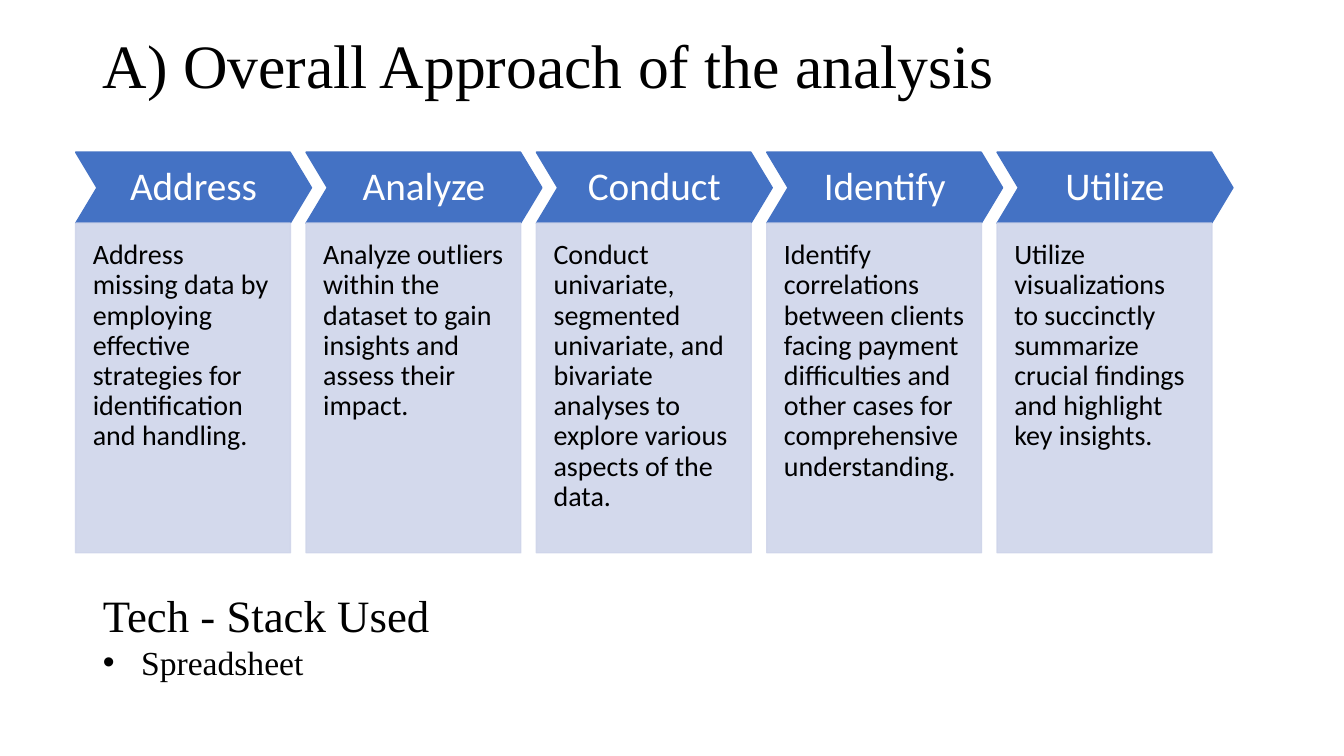
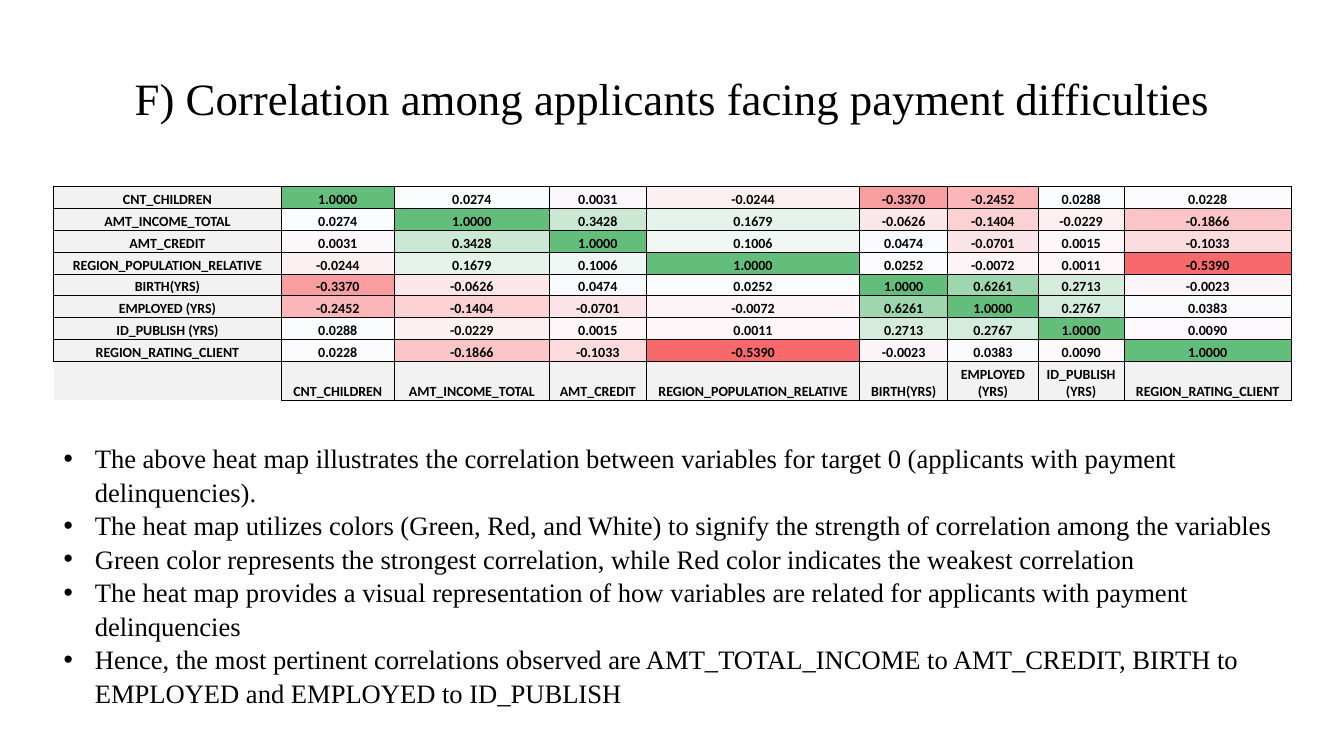
"""Build two slides: an approach overview and a correlation heat map."""
import pptx
import pptx.util
import pptx.dml.color
import pptx.enum.shapes
import pptx.enum.text
import pptx.oxml
import pptx.oxml.ns

WIDTH, HEIGHT = 13.33, 7.5
SERIF, SANS = "Times New Roman", "Calibri"
BLACK, WHITE, BLUE, PALE, GREY = "000000", "FFFFFF", "4472C4", "CFD5EA", "F2F2F2"
RED, NEUTRAL, GREEN = "F8696B", "FCFCFF", "63BE7B"
LEFT, CENTER = pptx.enum.text.PP_ALIGN.LEFT, pptx.enum.text.PP_ALIGN.CENTER
TOP, MIDDLE, BOTTOM = (pptx.enum.text.MSO_ANCHOR.TOP, pptx.enum.text.MSO_ANCHOR.MIDDLE,
                       pptx.enum.text.MSO_ANCHOR.BOTTOM)
CHEVRON = pptx.enum.shapes.MSO_SHAPE.CHEVRON
RECTANGLE = pptx.enum.shapes.MSO_SHAPE.RECTANGLE

STEPS = [
    ("Address", "Address missing data by employing effective strategies for "
                "identification and handling."),
    ("Analyze", "Analyze outliers within the dataset to gain insights and assess their impact."),
    ("Conduct", "Conduct univariate, segmented univariate, and bivariate analyses to "
                "explore various aspects of the data."),
    ("Identify", "Identify correlations between clients facing payment difficulties and "
                 "other cases for comprehensive understanding."),
    ("Utilize", "Utilize visualizations to succinctly summarize crucial findings and "
                "highlight key insights."),
]
VARIABLES = ["CNT_CHILDREN", "AMT_INCOME_TOTAL", "AMT_CREDIT", "REGION_POPULATION_RELATIVE",
             "BIRTH(YRS)", "EMPLOYED (YRS)", "ID_PUBLISH (YRS)", "REGION_RATING_CLIENT"]
LOWER_TRIANGLE = [
    [1],
    [0.0274, 1],
    [0.0031, 0.3428, 1],
    [-0.0244, 0.1679, 0.1006, 1],
    [-0.3370, -0.0626, 0.0474, 0.0252, 1],
    [-0.2452, -0.1404, -0.0701, -0.0072, 0.6261, 1],
    [0.0288, -0.0229, 0.0015, 0.0011, 0.2713, 0.2767, 1],
    [0.0228, -0.1866, -0.1033, -0.5390, -0.0023, 0.0383, 0.0090, 1],
]
LOW, MEDIAN, HIGH = -0.5390, 0.0228, 1
COLUMN_SHARES = [16.95, 8.4, 11.55, 7.2, 15.9, 6.53, 6.75, 6.38, 12.45]
ROW_SHARES = [2.89] * len(VARIABLES) + [5.16]
FINDINGS = [
    "The above heat map illustrates the correlation between variables for target 0 "
    "(applicants with payment delinquencies).",
    "The heat map utilizes colors (Green, Red, and White) to signify the strength of "
    "correlation among the variables",
    "Green color represents the strongest correlation, while Red color indicates the "
    "weakest correlation",
    "The heat map provides a visual representation of how variables are related for "
    "applicants with payment delinquencies",
    "Hence, the most pertinent correlations observed are AMT_TOTAL_INCOME to AMT_CREDIT, "
    "BIRTH to EMPLOYED and EMPLOYED to ID_PUBLISH",
]


def rgb(value):
    """Turn a hex string into a colour."""
    return pptx.dml.color.RGBColor.from_string(value)


def across(share):
    """Return a percentage of the slide's width."""
    return pptx.util.Inches(WIDTH * share / 100)


def down(share):
    """Return a percentage of the slide's height."""
    return pptx.util.Inches(HEIGHT * share / 100)


def box(x, y, w, h):
    """Return left, top, width and height from shares of the slide."""
    return across(x), down(y), across(w), down(h)


def element(tag, **attributes):
    """Make a DrawingML element."""
    el = pptx.oxml.parse_xml(f"<a:{tag} {pptx.oxml.ns.nsdecls('a')}/>")
    for name, value in attributes.items():
        el.set(name, str(value))
    return el


def write(tf, text, size=20, font=SANS, color=BLACK, bold=False, align=LEFT,
          spacing=1.0, indent=None, bullet=None):
    """Add a formatted paragraph, using the first one while it is empty."""
    p = tf.paragraphs[0] if not tf.text else tf.add_paragraph()
    p.alignment, p.line_spacing = align, spacing
    p.space_before = p.space_after = pptx.util.Pt(0)
    if indent is not None:
        pPr = p._p.get_or_add_pPr()
        hang = pptx.util.Inches(indent)
        pPr.set("marL", str(hang))
        pPr.set("indent", str(-hang))
        pPr.append(element("buChar", char=bullet) if bullet else element("buNone"))
    r = p.add_run()
    r.text = text
    r.font.size, r.font.name, r.font.bold = pptx.util.Pt(size), font, bold
    r.font.color.rgb = rgb(color)


def set_frame(tf, anchor=TOP, margins=(0.1, 0.05, 0.1, 0.05)):
    """Set wrapping, anchor and insets of a text frame."""
    tf.word_wrap = True
    tf.auto_size = pptx.enum.text.MSO_AUTO_SIZE.NONE
    tf.vertical_anchor = anchor
    tf.margin_left, tf.margin_top, tf.margin_right, tf.margin_bottom = map(
        pptx.util.Inches, margins)


def place(sp, area, anchor):
    """Move a placeholder and return its text frame."""
    sp.left, sp.top, sp.width, sp.height = box(*area)
    set_frame(sp.text_frame, anchor)
    return sp.text_frame


def add_slide(prs, title, title_area, body_area, size, align):
    """Add a titled slide and return it with its body text frame."""
    s = prs.slides.add_slide(prs.slide_layouts[1])
    write(place(s.shapes.title, title_area, MIDDLE), title, size=size, font=SERIF,
          align=align, spacing=0.9)
    return s, place(s.placeholders[1], body_area, TOP)


def add_panel(s, kind, area, fill, text, anchor, margins, opacity=100, **style):
    """Add a filled shape with text."""
    sp = s.shapes.add_shape(kind, *box(*area))
    sp.shadow.inherit = False
    sp.fill.solid()
    sp.line.fill.solid()
    sp.line.width = pptx.util.Pt(1)
    for color in (sp.fill.fore_color, sp.line.color):
        color.rgb = rgb(fill)
    if opacity < 100:
        for el in sp._element.spPr.iter(pptx.oxml.ns.qn("a:srgbClr")):
            el.append(element("alpha", val=opacity * 1000))
    set_frame(sp.text_frame, anchor, margins)
    write(sp.text_frame, text, spacing=0.9, **style)
    return sp


def add_step(s, index, heading, detail):
    """Add one chevron and the panel below it."""
    x, y, head_height = 5.63 + 17.14 * index, 20.13, 9.4
    sp = add_panel(s, CHEVRON, (x, y, 17.55, head_height), BLUE, heading, MIDDLE,
                   (0.09,) * 4, size=28, color=WHITE, align=CENTER)
    sp.adjustments[0] = 0.3
    add_panel(s, RECTANGLE, (x, y + head_height, 15.98, 43.6), PALE, detail, TOP,
              (0.17, 0.17, 0.17, 0.34), opacity=90)


def heat(value):
    """Blend red, neutral and green by the value's place around the median."""
    end, limit = (GREEN, HIGH) if value >= MEDIAN else (RED, LOW)
    t = (value - MEDIAN) / (limit - MEDIAN)
    pairs = zip(bytes.fromhex(NEUTRAL), bytes.fromhex(end))
    return "".join(f"{round(a + (b - a) * t):02X}" for a, b in pairs)


def set_borders(cell, hidden=""):
    """Draw thin black borders, except on the hidden sides."""
    tcPr = cell._tc.get_or_add_tcPr()
    for side in "LRTB":
        ln = element(f"ln{side}", w=pptx.util.Pt(0.5))
        if side in hidden:
            ln.append(element("noFill"))
        else:
            fill = element("solidFill")
            fill.append(element("srgbClr", val=BLACK))
            ln.append(fill)
        tcPr.append(ln)


def fill_cell(cell, text, fill, hidden=""):
    """Format a heat map cell and write its text."""
    set_borders(cell, hidden)
    cell.fill.solid()
    cell.fill.fore_color.rgb = rgb(fill)
    cell.vertical_anchor = BOTTOM
    cell.margin_left = cell.margin_right = cell.margin_top = pptx.util.Inches(0.01)
    cell.margin_bottom = 0
    if text:
        write(cell.text_frame, text, size=10, bold=True, align=CENTER)


def add_heat_map(s, x, y):
    """Add the symmetric correlation table with labels at left and below."""
    n = len(VARIABLES)
    area = box(x, y, sum(COLUMN_SHARES), sum(ROW_SHARES))
    table = s.shapes.add_table(n + 1, n + 1, *area).table
    table.first_row = table.horz_banding = False
    for column, share in zip(table.columns, COLUMN_SHARES):
        column.width = across(share)
    for row, share in zip(table.rows, ROW_SHARES):
        row.height = down(share)
    for i, name in enumerate(VARIABLES):
        fill_cell(table.cell(i, 0), name, GREY)
        fill_cell(table.cell(n, i + 1), name, GREY)
        for j in range(n):
            value = LOWER_TRIANGLE[max(i, j)][min(i, j)]
            fill_cell(table.cell(i, j + 1), f"{value:.4f}", heat(value))
    fill_cell(table.cell(n, 0), "", GREY, hidden="LB")


def build_approach(prs):
    """Build the slide with the five steps and the tools."""
    s, tf = add_slide(prs, "A) Overall Approach of the analysis", (6.9, 1.87, 86.27, 14.4),
                      (6.9, 77.07, 27.46, 13.87), 44, LEFT)
    for index, (heading, detail) in enumerate(STEPS):
        add_step(s, index, heading, detail)
    write(tf, "Tech - Stack Used", size=32, font=SERIF, indent=0)
    write(tf, "Spreadsheet", size=24, font=SERIF, indent=0.38, bullet="•")


def build_correlation(prs):
    """Build the slide with the heat map and its findings."""
    s, tf = add_slide(prs, "F) Correlation among applicants facing payment difficulties",
                      (6.9, 8.13, 86.27, 10.4), (3.98, 57.6, 93.4, 35.87), 32, CENTER)
    add_heat_map(s, 3.98, 24.67)
    for finding in FINDINGS:
        write(tf, finding, size=19, font=SERIF, spacing=1.05, indent=0.31, bullet="•")


def main():
    """Create and save the presentation."""
    prs = pptx.Presentation()
    prs.slide_width, prs.slide_height = across(100), down(100)
    build_approach(prs)
    build_correlation(prs)
    prs.save("out.pptx")


if __name__ == "__main__":
    main()
